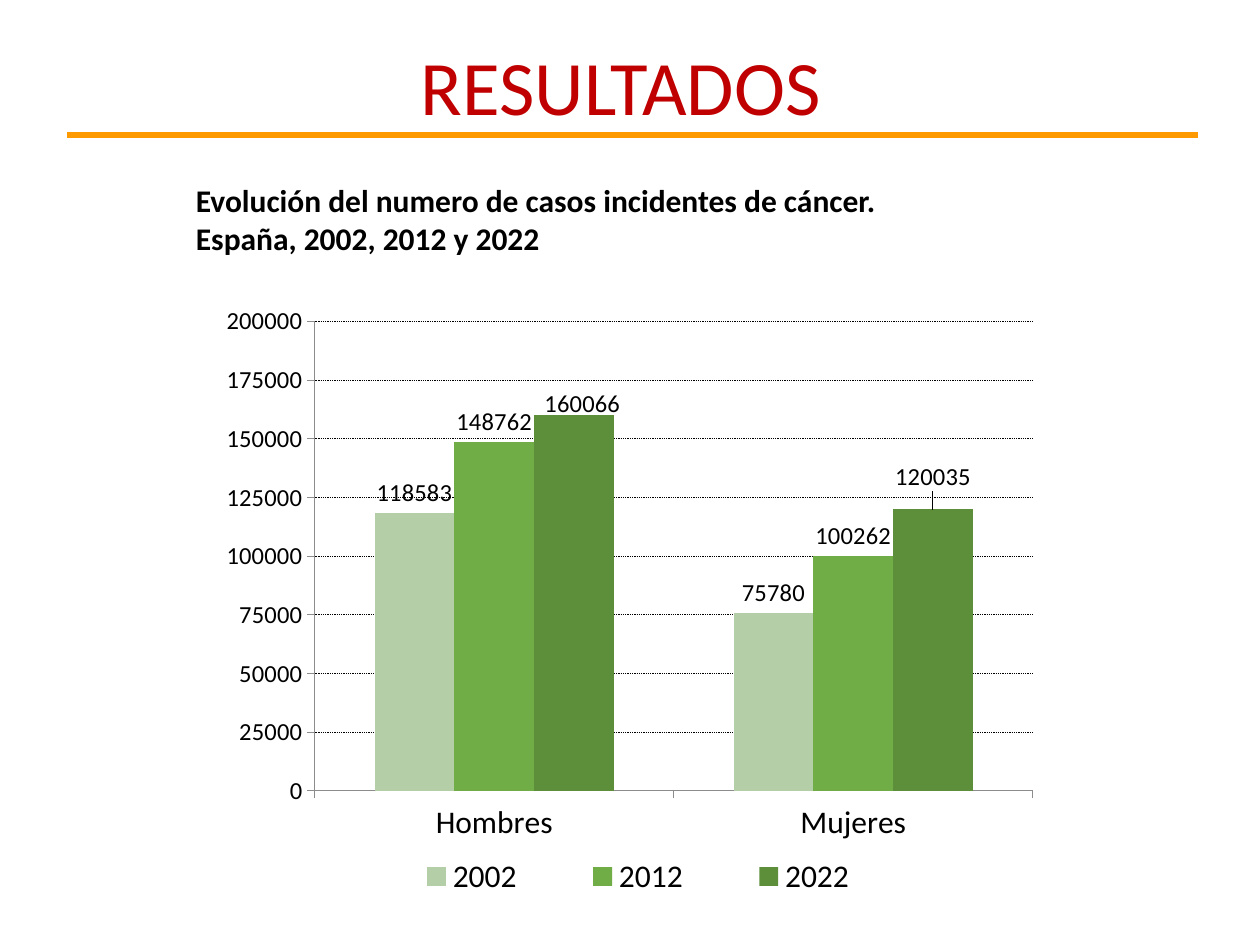
import pptx
import pptx.chart.data
import pptx.dml.color
import pptx.enum.chart
import pptx.enum.dml
import pptx.enum.shapes
import pptx.enum.text
import pptx.oxml
import pptx.oxml.ns
import pptx.util
from pptx.util import Cm

FONT = "Calibri"
CASES = {
    "2002": ((118583, 75780), "B4CFA8"),
    "2012": ((148762, 100262), "70AD47"),
    "2022": ((160066, 120035), "5D8F3B"),
}
LABEL_SHIFTS = ((0.01, 0.015), (0, -0.02))


def color(value):
    """Turn a hex string into an RGB colour."""
    return pptx.dml.color.RGBColor.from_string(value)


def style_font(font, size, value="000000", bold=False):
    """Set typeface, size, colour and weight."""
    font.name = FONT
    font.size = pptx.util.Pt(size)
    font.bold = bold
    font.color.rgb = color(value)


def style_line(line, value, width):
    """Set colour and width of a line."""
    line.color.rgb = color(value)
    line.width = pptx.util.Pt(width)


def add_run(paragraph, text, *style):
    """Append one styled run."""
    run = paragraph.add_run()
    run.text = text
    style_font(run.font, *style)


def manual_layout(x, y, w=None, h=None, inner=False):
    """Build a chart layout element from fractions of the chart area."""
    tags = []
    if inner:
        tags.append('<c:layoutTarget val="inner"/>')
    if w is not None:
        tags.append('<c:xMode val="edge"/><c:yMode val="edge"/>')
    tags.append(f'<c:x val="{x}"/><c:y val="{y}"/>')
    if w is not None:
        tags.append(f'<c:w val="{w}"/><c:h val="{h}"/>')
    namespace = pptx.oxml.ns.nsdecls("c")
    return pptx.oxml.parse_xml(
        f"<c:layout {namespace}><c:manualLayout>{''.join(tags)}</c:manualLayout></c:layout>"
    )


def set_layout(parent, layout, after=None):
    """Replace the layout of a chart part, placing it after a given child."""
    for old in parent.findall(pptx.oxml.ns.qn("c:layout")):
        parent.remove(old)
    if after is None:
        parent.insert(0, layout)
    else:
        parent.find(pptx.oxml.ns.qn(after)).addnext(layout)


def add_heading(slide, text):
    """Fill and place the slide title."""
    heading = slide.shapes.title
    heading.left, heading.top, heading.width, heading.height = Cm(1.09), Cm(0.71), Cm(22.86), Cm(2)
    frame = heading.text_frame
    frame.vertical_anchor = pptx.enum.text.MSO_ANCHOR.MIDDLE
    frame.paragraphs[0].alignment = pptx.enum.text.PP_ALIGN.CENTER
    add_run(frame.paragraphs[0], text, 44, "C00000")


def add_rule(slide):
    """Draw the orange rule under the title."""
    rule = slide.shapes.add_connector(
        pptx.enum.shapes.MSO_CONNECTOR.STRAIGHT, Cm(1.35), Cm(2.72), Cm(24.16), Cm(2.72)
    )
    style_line(rule.line, "FF9900", 3)
    rule._element.spPr.append(pptx.oxml.parse_xml(f"<a:effectLst {pptx.oxml.ns.nsdecls('a')}/>"))


def add_caption(slide, lines):
    """Write the chart caption, one paragraph a line."""
    caption = slide.shapes.add_textbox(Cm(3.7), Cm(3.53), Cm(17.8), Cm(1.8))
    frame = caption.text_frame
    frame.word_wrap = True
    for number, line in enumerate(lines):
        paragraph = frame.add_paragraph() if number else frame.paragraphs[0]
        add_run(paragraph, line, 18, "000000", True)


def style_axes(chart):
    """Format both axes and the gridlines."""
    for axis, size in ((chart.category_axis, 18), (chart.value_axis, 14)):
        style_font(axis.tick_labels.font, size)
        style_line(axis.format.line, "8C8C8C", 0.5)
        axis.major_tick_mark = pptx.enum.chart.XL_TICK_MARK.OUTSIDE
    values = chart.value_axis
    values.minimum_scale, values.maximum_scale, values.major_unit = 0, 200000, 25000
    values.tick_labels.number_format = "0"
    values.tick_labels.number_format_is_linked = False
    values.has_major_gridlines = True
    grid = values.major_gridlines.format.line
    style_line(grid, "000000", 0.5)
    grid.dash_style = pptx.enum.dml.MSO_LINE.ROUND_DOT


def style_series(series, fill):
    """Colour one series and show its values above the bars."""
    series.format.fill.solid()
    series.format.fill.fore_color.rgb = color(fill)
    series.invert_if_negative = False
    labels = series.data_labels
    labels.show_value = True
    labels.number_format = "0"
    labels.number_format_is_linked = False
    labels.position = pptx.enum.chart.XL_LABEL_POSITION.OUTSIDE_END
    style_font(labels.font, 14)


def shift_labels(series, shifts):
    """Move the value labels of a series by fractions of the chart area."""
    for index, shift in enumerate(shifts):
        label = series.points[index].data_label
        style_font(label.font, 14)
        label.position = pptx.enum.chart.XL_LABEL_POSITION.OUTSIDE_END
        element = series.data_labels._element.dLbl_lst[index]
        set_layout(element, manual_layout(*shift), "c:idx")


def add_cases_chart(slide):
    """Add the chart of incident cases by sex and year."""
    cases = pptx.chart.data.CategoryChartData()
    cases.categories = ["Hombres", "Mujeres"]
    for year, (counts, _) in CASES.items():
        cases.add_series(year, counts)
    chart = slide.shapes.add_chart(
        pptx.enum.chart.XL_CHART_TYPE.COLUMN_CLUSTERED,
        Cm(4.23), Cm(5.92), Cm(16.93), Cm(12.5), cases,
    ).chart
    style_font(chart.font, 18)
    chart.has_title = False
    style_axes(chart)
    plot = chart.plots[0]
    plot.gap_width, plot.overlap = 150, 0
    plot.vary_by_categories = False
    for series in plot.series:
        style_series(series, CASES[series.name][1])
    shift_labels(plot.series[-1], LABEL_SHIFTS)
    chart.has_legend = True
    chart.legend.position = pptx.enum.chart.XL_LEGEND_POSITION.BOTTOM
    chart.legend.include_in_layout = False
    style_font(chart.legend.font, 18)
    set_layout(chart.legend._element, manual_layout(0.18, 0.9, 0.66, 0.08), "c:legendPos")
    plot_area = chart._chartSpace.chart.plotArea
    set_layout(plot_area, manual_layout(0.125, 0.045, 0.855, 0.757, inner=True))


def main():
    """Build and save the results slide."""
    deck = pptx.Presentation()
    deck.slide_width, deck.slide_height = Cm(25.4), Cm(19.05)
    slide = deck.slides.add_slide(deck.slide_layouts[5])
    add_cases_chart(slide)
    add_caption(slide, (
        "Evolución del numero de casos incidentes de cáncer.",
        "España, 2002, 2012 y 2022",
    ))
    add_heading(slide, "RESULTADOS")
    add_rule(slide)
    deck.save("out.pptx")


if __name__ == "__main__":
    main()
